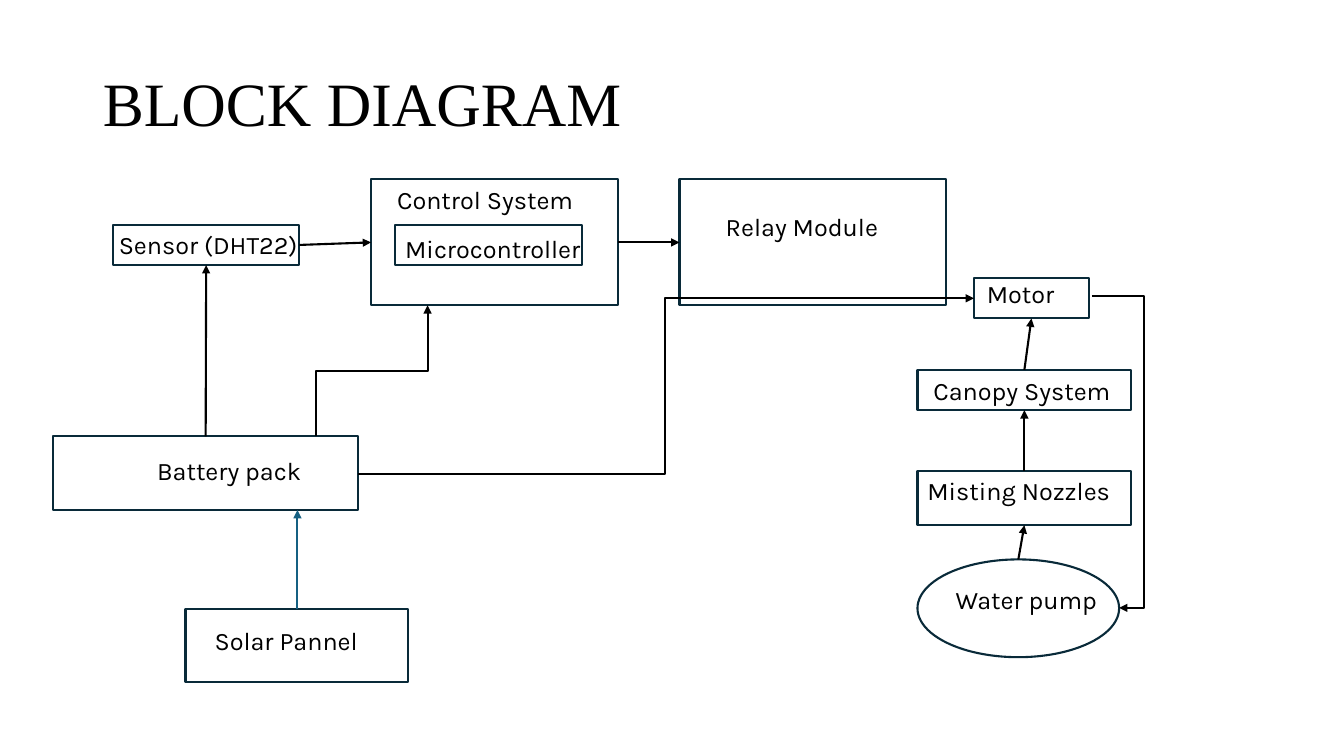
from dataclasses import dataclass
from enum import IntEnum

from lxml import etree
from pptx import Presentation
from pptx import util as u
from pptx.dml.color import RGBColor
from pptx.enum import shapes, text
from pptx.oxml.ns import qn

PX = u.Inches(1) // 100
LABEL_HEIGHT = 40
RECT = shapes.MSO_SHAPE.RECTANGLE
Point = tuple[int, int]


class Side(IntEnum):
    TOP = 0
    LEFT = 1
    BOTTOM = 2
    RIGHT = 3


@dataclass(frozen=True)
class Theme:
    ink: RGBColor = RGBColor(0, 0, 0)
    outline: RGBColor = RGBColor(0x09, 0x2A, 0x39)
    solar: RGBColor = RGBColor(0x15, 0x60, 0x82)
    title_font: str = "Times New Roman"
    label_font: str = "Karla"
    title_size: u.Pt = u.Pt(44)
    label_size: u.Pt = u.Pt(18)
    stroke: u.Pt = u.Pt(1.5)


THEME = Theme()


@dataclass(frozen=True)
class Block:
    label: str
    left: int
    top: int
    width: int
    height: int
    label_left: int
    label_top: int
    label_width: int = 260
    kind: shapes.MSO_SHAPE = RECT


@dataclass(frozen=True)
class Joint:
    label: str
    side: Side


@dataclass(frozen=True)
class Arrow:
    begin: Joint | Point
    end: Joint | Point
    color: RGBColor = THEME.ink


@dataclass(frozen=True)
class Elbow:
    begin: Point
    end: Point
    bend_x: int | None = None  # None: leave vertically and bend halfway


BLOCKS = [
    Block("Sensor (DHT22)", 112, 223, 185, 40, 108, 223),
    Block("Control System", 368, 178, 245, 125, 384, 178),
    Block("Microcontroller", 392, 223, 185, 40, 392, 227, 221),
    Block("Relay Module", 674, 178, 264, 125, 710, 205),
    Block("Motor", 966, 276, 114, 40, 969, 271, 114),
    Block("Canopy System", 910, 367, 212, 40, 916, 367),
    Block("Misting Nozzles", 910, 467, 212, 54, 910, 467),
    Block("Water pump", 910, 555, 200, 97, 938, 575, 172,
          shapes.MSO_SHAPE.FLOWCHART_CONNECTOR),
    Block("Battery pack", 53, 433, 302, 73, 146, 447),
    Block("Solar Pannel", 184, 604, 221, 73, 203, 615),
]

ARROWS = [
    Arrow(Joint("Sensor (DHT22)", Side.RIGHT), Joint("Control System", Side.LEFT)),
    Arrow(Joint("Control System", Side.RIGHT), Joint("Relay Module", Side.LEFT)),
    Arrow(Joint("Battery pack", Side.TOP), Joint("Sensor (DHT22)", Side.BOTTOM)),
    Arrow(Joint("Water pump", Side.TOP), Joint("Misting Nozzles", Side.BOTTOM)),
    Arrow(Joint("Misting Nozzles", Side.TOP), Joint("Canopy System", Side.BOTTOM)),
    Arrow(Joint("Canopy System", Side.TOP), Joint("Motor", Side.BOTTOM)),
    Arrow((295, 604), (295, 506), THEME.solar),
]

ELBOWS = [
    Elbow((313, 433), (424, 303)),
    Elbow((355, 470), (966, 296), 660),
    Elbow((1083, 294), (1110, 603), 1135),
]


def px(*lengths: float) -> list[int]:
    return [round(length * PX) for length in lengths]


def style_runs(paragraph, font_name: str, size: u.Pt) -> None:
    for span in paragraph.runs:
        span.font.name = font_name
        span.font.size = size
        span.font.color.rgb = THEME.ink


def set_title(page) -> None:
    title = page.shapes.title
    title.left, title.top, title.width, title.height = px(92, 33, 1150, 145)
    frame = title.text_frame
    frame.text = "BLOCK DIAGRAM"
    frame.vertical_anchor = text.MSO_ANCHOR.MIDDLE
    frame.auto_size = text.MSO_AUTO_SIZE.NONE
    para = frame.paragraphs[0]
    para.alignment = text.PP_ALIGN.LEFT
    para.line_spacing = 0.9
    style_runs(para, THEME.title_font, THEME.title_size)


def draw_block(page, block: Block):
    box = page.shapes.add_shape(
        block.kind, *px(block.left, block.top, block.width, block.height))
    box.shadow.inherit = False
    box.fill.background()
    box.line.color.rgb = THEME.outline
    box.line.width = THEME.stroke

    label = page.shapes.add_textbox(
        *px(block.label_left, block.label_top, block.label_width, LABEL_HEIGHT))
    frame = label.text_frame
    frame.word_wrap = True
    frame.text = block.label
    style_runs(frame.paragraphs[0], THEME.label_font, THEME.label_size)
    return box


def style_connector(connector, color: RGBColor) -> None:
    connector.line.color.rgb = color
    connector.line.width = THEME.stroke
    line = connector.line._get_or_add_ln()
    etree.SubElement(line, qn("a:tailEnd"), type="triangle")
    etree.SubElement(connector._element.spPr, qn("a:effectLst"))


def draw_arrow(page, arrow: Arrow, boxes: dict) -> None:
    begin, end = [(0, 0) if isinstance(tip, Joint) else tip
                  for tip in (arrow.begin, arrow.end)]
    connector = page.shapes.add_connector(
        shapes.MSO_CONNECTOR.STRAIGHT, *px(*begin, *end))
    if isinstance(arrow.begin, Joint):
        connector.begin_connect(boxes[arrow.begin.label], arrow.begin.side.value)
    if isinstance(arrow.end, Joint):
        connector.end_connect(boxes[arrow.end.label], arrow.end.side.value)
    style_connector(connector, arrow.color)


def draw_elbow(page, elbow: Elbow) -> None:
    """Draw a bent arrow; one that leaves vertically is a quarter-turned elbow."""
    (x1, y1), (x2, y2) = elbow.begin, elbow.end
    upright = elbow.bend_x is None
    if upright:
        middle_x, middle_y = (x1 + x2) / 2, (y1 + y2) / 2
        reach, rise = (y1 - y2) / 2, (x2 - x1) / 2
        ends = (middle_x + reach, middle_y + rise, middle_x - reach, middle_y - rise)
    else:
        ends = (x1, y1, x2, y2)
    connector = page.shapes.add_connector(shapes.MSO_CONNECTOR.ELBOW, *px(*ends))
    properties = connector._element.spPr
    if upright:
        properties.find(qn("a:xfrm")).set("rot", str(90 * 60000))
    else:
        share = round((elbow.bend_x - x1) / (x2 - x1) * 100000)
        adjustments = properties.find(qn("a:prstGeom")).get_or_add_avLst()
        etree.SubElement(adjustments, qn("a:gd"), name="adj1", fmla=f"val {share}")
    style_connector(connector, THEME.ink)


def main() -> None:
    deck = Presentation()
    deck.slide_width, deck.slide_height = u.Inches(13.33), u.Inches(7.5)
    page = deck.slides.add_slide(deck.slide_layouts.get_by_name("Title Only"))
    set_title(page)
    boxes = {block.label: draw_block(page, block) for block in BLOCKS}
    for arrow in ARROWS:
        draw_arrow(page, arrow, boxes)
    for elbow in ELBOWS:
        draw_elbow(page, elbow)
    deck.save("out.pptx")


if __name__ == "__main__":
    main()
